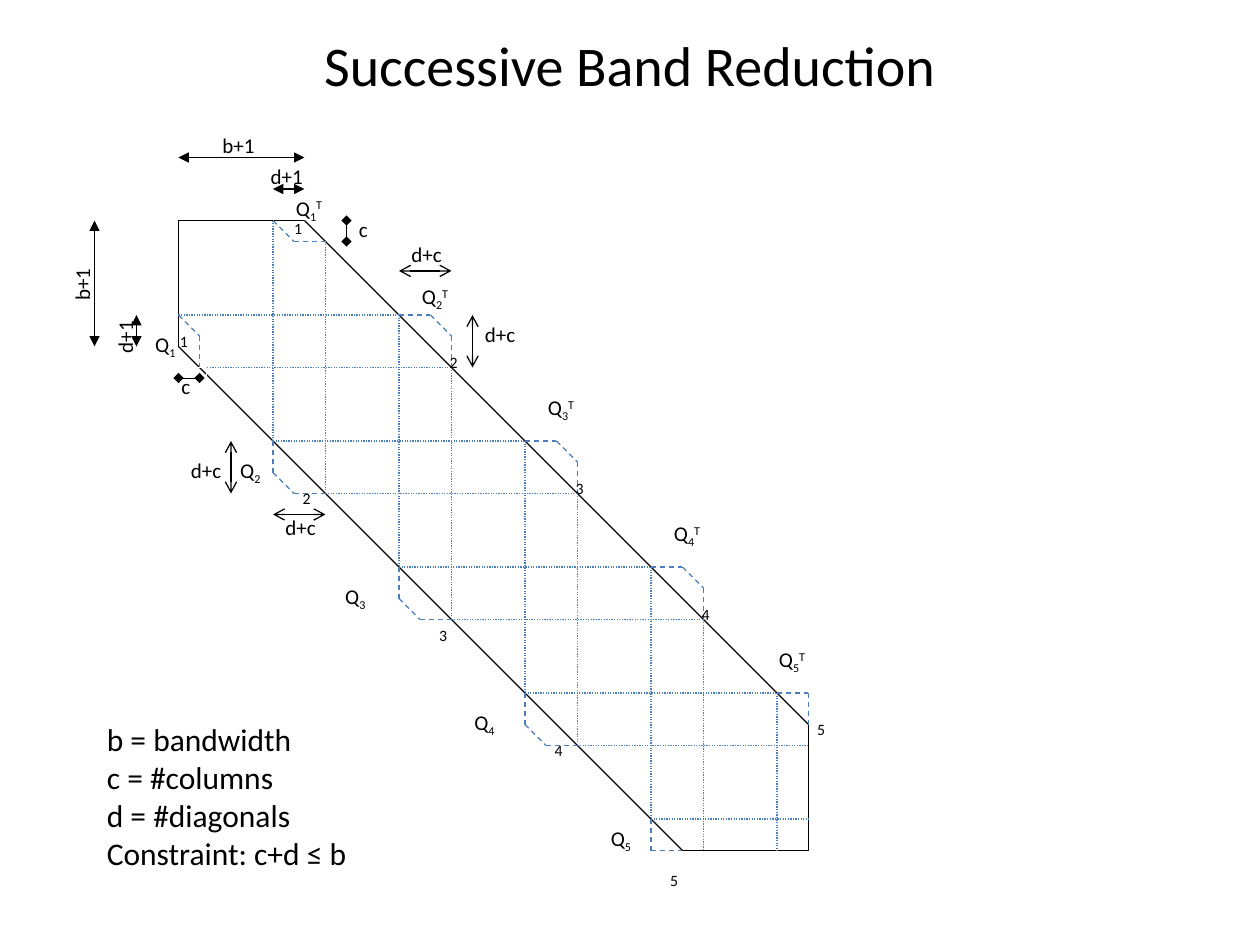
from typing import NamedTuple

from lxml.etree import SubElement
from pptx import Presentation
from pptx.dml.color import RGBColor
from pptx.enum.dml import MSO_LINE_DASH_STYLE as Dash
from pptx.enum.shapes import MSO_CONNECTOR as Connector, MSO_SHAPE as Shape
from pptx.enum.text import MSO_AUTO_SIZE as AutoSize, PP_ALIGN as Align
from pptx.oxml.ns import qn
from pptx.util import Inches, Pt

BLACK = RGBColor(0x00, 0x00, 0x00)
WHITE = RGBColor(0xFF, 0xFF, 0xFF)
BLUE = RGBColor(0x4B, 0x7E, 0xBC)
FONT = "Calibri"

# The page is a grid of 120 by 90 cells, twelve to the inch
COLUMNS, ROWS = 120, 90
CELL = Inches(1) / 12
BAND_LEFT, BAND_TOP = 17, 21
BAND_SIZE, STEP = 60, 12  # matrix order and bandwidth b+1, in cells
SUB, SUPER = -25000, 30000


class Point(NamedTuple):
    x: float
    y: float


class Box(NamedTuple):
    left: float
    top: float
    width: float
    height: float


class Span(NamedTuple):
    text: str
    baseline: int = 0


class Measure(NamedTuple):
    start: Point
    end: Point
    head: str
    label: str
    label_at: Point
    turn: int = 0
    weight: float = 0.75


MEASURES = [
    Measure(Point(17, 15), Point(29, 15), "triangle", "b+1", Point(20, 12)),
    Measure(Point(9, 21), Point(9, 33), "triangle", "b+1", Point(4.8, 25), 270),
    Measure(Point(26, 18), Point(29, 18), "triangle", "d+1", Point(24.6, 15)),
    Measure(Point(13, 33), Point(13, 30), "triangle", "d+1", Point(8.9, 30), 270),
    Measure(Point(33, 21), Point(33, 23), "diamond", "c", Point(33, 20), 0, 0.25),
    Measure(Point(19, 36), Point(17, 36), "diamond", "c", Point(16.1, 35), 0, 0.25),
    Measure(Point(38, 25.8), Point(43, 25.8), "arrow", "d+c", Point(38, 22.4)),
    Measure(Point(45, 30), Point(45, 35), "arrow", "d+c", Point(45, 30)),
    Measure(Point(22, 42), Point(22, 47), "arrow", "d+c", Point(17, 43)),
    Measure(Point(26, 49), Point(31, 49), "arrow", "d+c", Point(26, 48.4)),
]

# Label corners and step-number centres for Q1 to Q5
LOWER_LABELS = [Point(13.6, 31), Point(21.7, 43), Point(31.7, 55),
                Point(44, 67), Point(57, 78)]
UPPER_LABELS = [Point(27, 18), Point(39, 26.4), Point(51, 37),
                Point(63, 49), Point(73, 61)]
LOWER_NUMBERS = [Point(17.5, 32.5), Point(29.2, 47.5), Point(42.2, 60.5),
                 Point(53.2, 71.5), Point(64.2, 83.8)]
UPPER_NUMBERS = [Point(28.4, 21.7), Point(43.2, 34.5), Point(55.2, 46.5),
                 Point(67.2, 58.5), Point(78.2, 69.5)]


def cells(*values: float) -> list[int]:
    return [round(value * CELL) for value in values]


def draw_line(page, start: Point, end: Point, color: RGBColor = BLACK,
              dash=None, head: str = "", weight: float = 0.75) -> None:
    line = page.shapes.add_connector(Connector.STRAIGHT, *cells(*start, *end))
    line.line.color.rgb = color
    line.line.width = Pt(weight)
    if dash:
        line.line.dash_style = dash
    if head:
        outline = line.line._get_or_add_ln()
        for tag in ("a:headEnd", "a:tailEnd"):
            SubElement(outline, qn(tag), type=head)
    SubElement(line._element.spPr, qn("a:effectLst"))


def draw_symmetric(page, points: list[Point], **style) -> None:
    """Draw a path in matrix cells together with its transpose."""
    for start, end in zip(points, points[1:]):
        draw_line(page, Point(BAND_LEFT + start.x, BAND_TOP + start.y),
                  Point(BAND_LEFT + end.x, BAND_TOP + end.y), **style)
        draw_line(page, Point(BAND_LEFT + start.y, BAND_TOP + start.x),
                  Point(BAND_LEFT + end.y, BAND_TOP + end.x), **style)


def write(page, place: Box, paragraphs: list[list[Span]], size: float = 12,
          align=Align.LEFT, turn: int = 0, tight: bool = False,
          outline: RGBColor | None = None) -> None:
    if outline is None:
        box = page.shapes.add_textbox(*cells(*place))
    else:
        box = page.shapes.add_shape(Shape.RECTANGLE, *cells(*place))
        box.shadow.inherit = False
        box.fill.background()
        box.line.color.rgb = outline
        box.line.width = Pt(0.75)
    box.rotation = turn
    frame = box.text_frame
    frame.word_wrap = True
    frame.auto_size = AutoSize.SHAPE_TO_FIT_TEXT
    if tight:
        frame.auto_size = AutoSize.NONE
        frame.margin_left = frame.margin_right = 0
    for index, spans in enumerate(paragraphs):
        para = frame.paragraphs[0] if index == 0 else frame.add_paragraph()
        para.alignment = align
        for span in spans:
            run = para.add_run()
            run.text = span.text
            run.font.name = FONT
            run.font.size = Pt(size)
            run.font.color.rgb = BLACK
            if span.baseline:
                run._r.get_or_add_rPr().set("baseline", str(span.baseline))


def draw_band(page) -> None:
    # Band outline
    draw_symmetric(page, [Point(0, 0), Point(12, 0), Point(60, 48), Point(60, 60)])
    # Dotted window edges
    for shift in range(0, BAND_SIZE, STEP):
        draw_symmetric(page, [Point(max(0, shift - 3), shift + 9),
                              Point(min(BAND_SIZE, shift + 21), shift + 9)],
                       color=BLUE, dash=Dash.ROUND_DOT)
    for shift in range(0, BAND_SIZE - STEP, STEP):
        draw_symmetric(page, [Point(shift + 2, shift + 14),
                              Point(min(BAND_SIZE, shift + 26), shift + 14)],
                       color=BLUE, dash=Dash.ROUND_DOT)
    # Dashed fill-in: first step, chased bulges, last step
    bulges = [[Point(9, 0), Point(11, 2), Point(14, 2)],
              [Point(57, 45), Point(60, 45), Point(60, 48)]]
    bulges += [[Point(21 + shift, 9 + shift), Point(24 + shift, 9 + shift),
                Point(26 + shift, 11 + shift), Point(26 + shift, 14 + shift)]
               for shift in range(0, 3 * STEP, STEP)]
    for bulge in bulges:
        draw_symmetric(page, bulge, color=BLUE, dash=Dash.DASH)


def draw_labels(page) -> None:
    # Step numbers
    for numbers in (LOWER_NUMBERS, UPPER_NUMBERS):
        for step, centre in enumerate(numbers, 1):
            write(page, Box(centre.x - 1, centre.y - 1.5, 2, 3),
                  [[Span(str(step))]], size=9, align=Align.CENTER, tight=True)
    # Orthogonal factors and their transposes
    for step, (lower, upper) in enumerate(zip(LOWER_LABELS, UPPER_LABELS), 1):
        factor = [Span("Q"), Span(str(step), SUB)]
        write(page, Box(*lower, 5, 3.6), [factor])
        write(page, Box(*upper, 5.6, 3.6), [factor + [Span("T", SUPER)]])


def draw_measures(page) -> None:
    for item in MEASURES:
        width = 3.6 if item.label == "c" else 6
        below_band = item.label == "c" and item.start.y == item.end.y
        write(page, Box(*item.label_at, width, 3.6), [[Span(item.label)]],
              turn=item.turn, outline=WHITE if below_band else None)
        draw_line(page, item.start, item.end, head=item.head, weight=item.weight)


def main() -> None:
    deck = Presentation()
    deck.slide_width, deck.slide_height = cells(COLUMNS, ROWS)
    page = deck.slides.add_slide(deck.slide_layouts[6])
    draw_band(page)
    draw_labels(page)
    draw_measures(page)
    # Title and legend
    write(page, Box(10.7, 2.3, 98.6, 7.7), [[Span("Successive Band Reduction")]],
          size=32, align=Align.CENTER)
    legend = ["b = bandwidth", "c = #columns", "d = #diagonals",
              "Constraint: c+d ≤ b"]
    write(page, Box(9, 68, 25.7, 15.7), [[Span(entry)] for entry in legend], size=18)
    deck.save("out.pptx")


if __name__ == "__main__":
    main()
